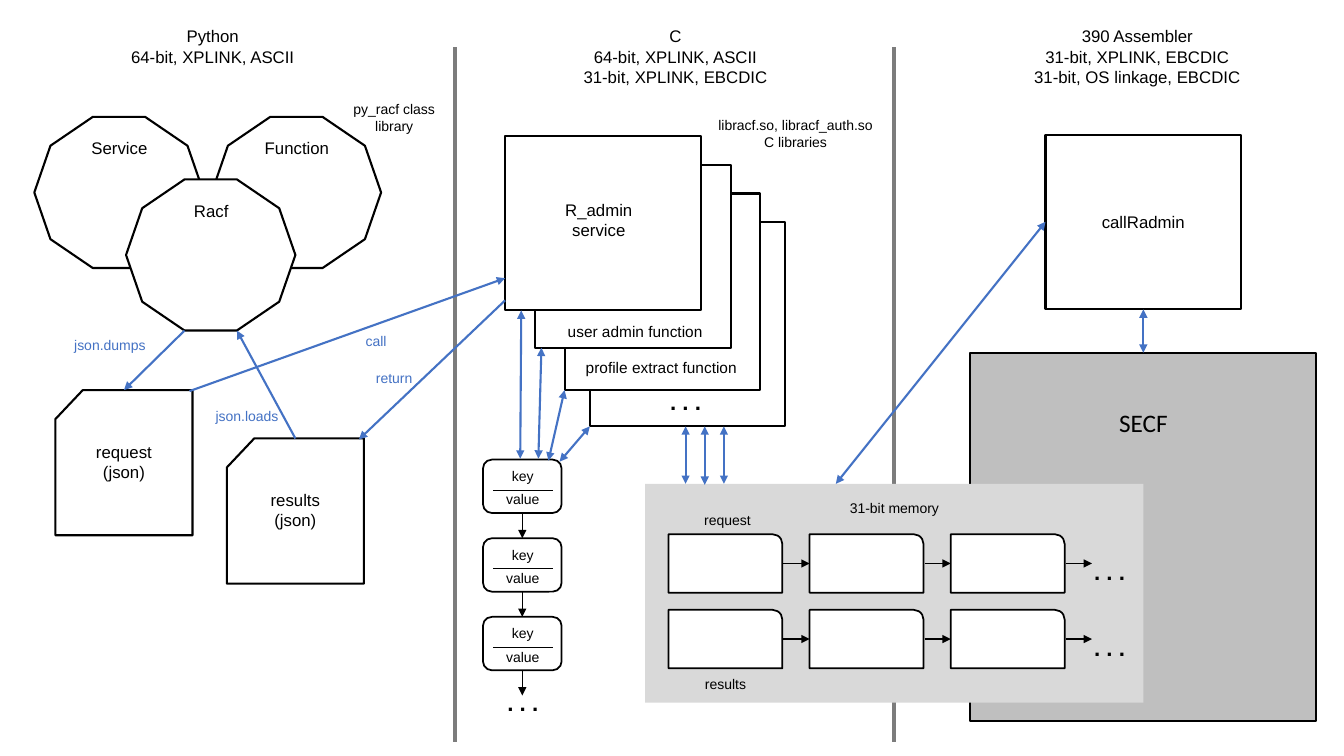
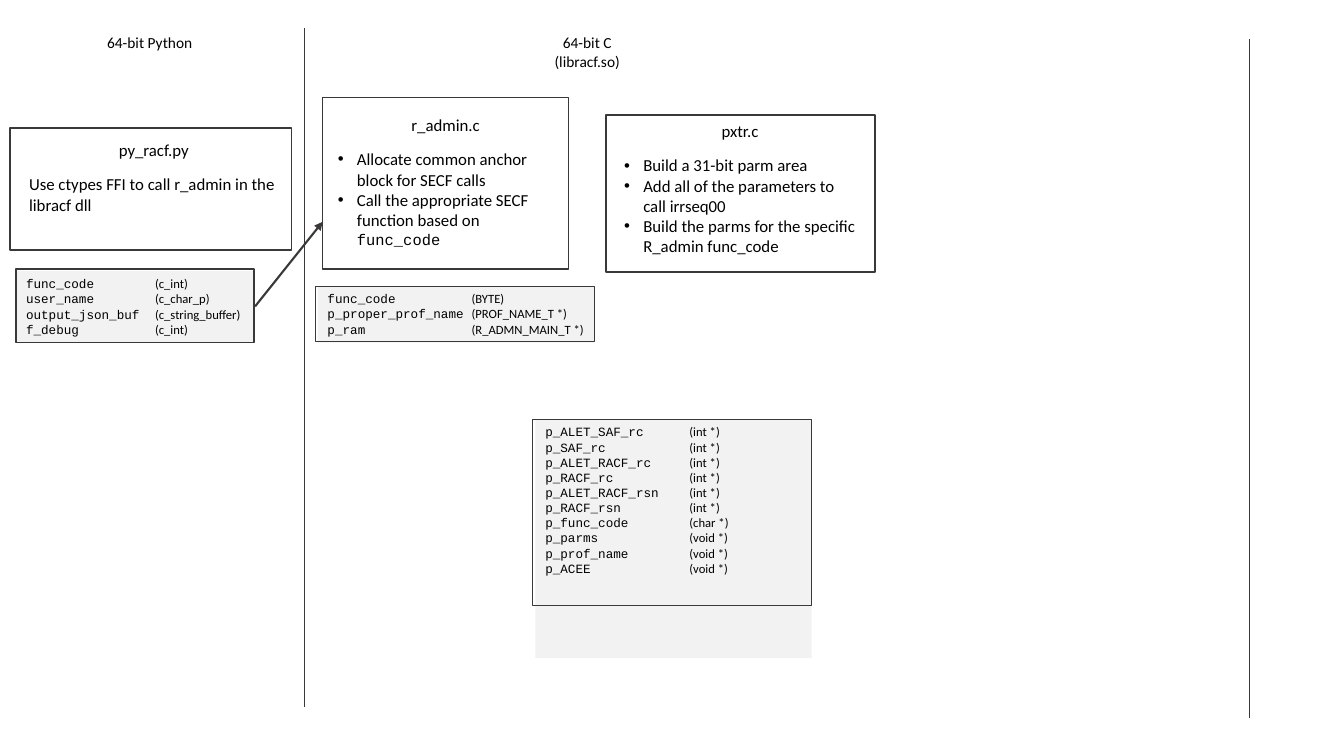
from lxml import etree
from pptx import Presentation
from pptx.dml.color import RGBColor
from pptx.enum.shapes import MSO_CONNECTOR, MSO_SHAPE
from pptx.enum.text import MSO_ANCHOR, MSO_AUTO_SIZE, PP_ALIGN
from pptx.oxml.ns import qn
from pptx.util import Cm, Pt

RECT, ROUND = MSO_SHAPE.RECTANGLE, MSO_SHAPE.ROUNDED_RECTANGLE
DECAGON, CARD = MSO_SHAPE.DECAGON, MSO_SHAPE.FLOWCHART_CARD
CELL = MSO_SHAPE.ROUND_1_RECTANGLE
STRAIGHT = MSO_CONNECTOR.STRAIGHT
CENTER, LEFT, TOP = PP_ALIGN.CENTER, PP_ALIGN.LEFT, MSO_ANCHOR.TOP
NO_FIT = MSO_AUTO_SIZE.NONE
TITLE_ONLY, TWO_CONTENT = 5, 3

# Shared colours and text styles
BLACK, WHITE, BLUE, DARK = "000000", "FFFFFF", "4472C4", "3B3838"
DIVIDER, SYSTEM, MEMORY, PALE = "7C7C7C", "BFBFBF", "D9D9D9", "F2F2F2"


def style(name, size, color=BLACK, bold=False):
    return {"name": name, "size": Pt(size), "bold": bold, "color": color}


NORMAL, MEDIUM, SMALL = (style("Arial", n) for n in (12, 11, 10))
NOTE, DOTS = style("Arial", 10, BLUE), style("Arial", 16, bold=True)
SYSTEM_NAME, HEADING, BODY = (style("Calibri", n) for n in (18, 11, 12))
TYPE, FIELD, CODE = style("Calibri", 9), style("Courier New", 9), style("Courier New", 11)
ELLIPSIS = ". . ."

# Slide 1 content; positions are in inches
COLUMNS = [
    ((0.87, 0.21, 2.48, 0.5), ["Python", "64-bit, XPLINK, ASCII"]),
    ((5.46, 0.21, 2.48, 0.71), ["C", "64-bit, XPLINK, ASCII", "31-bit, XPLINK, EBCDIC"]),
    ((10.04, 0.21, 2.48, 0.71),
     ["390 Assembler", "31-bit, XPLINK, EBCDIC", "31-bit, OS linkage, EBCDIC"]),
]
CLASSES = [(0.34, 1.16, "Service"), (2.1, 1.16, "Function"), (1.25, 1.78, "Racf")]
JSON_CARDS = [(0.55, 3.87, "request"), (2.25, 4.35, "results")]
FUNCTIONS = [
    ((5.85, 2.2, 1.94, 2.03), (5.92, 3.8, 1.76, 0.37), [ELLIPSIS], DOTS),
    ((5.6, 1.92, 1.94, 1.95), (5.68, 3.5, 1.76, 0.29), ["profile extract function"], MEDIUM),
    ((5.31, 1.64, 1.94, 1.81), (5.42, 3.15, 1.76, 0.29), ["user admin function"], MEDIUM),
    ((5.01, 1.35, 1.94, 1.73), (5.31, 1.93, 1.26, 0.5), ["R_admin", "service"], NORMAL),
]
LABELS = [
    ((3.28, 0.95, 1.26, 0.44), ["py_racf class", "library"], SMALL),
    ((6.99, 1.11, 1.8, 0.44), ["libracf.so, libracf_auth.so", "C libraries"], SMALL),
    ((0.46, 3.29, 1.26, 0.27), ["json.dumps"], NOTE),
    ((1.82, 3.99, 1.26, 0.27), ["json.loads"], NOTE),
    ((3.1, 3.25, 1.26, 0.27), ["call"], NOTE),
    ((3.28, 3.62, 1.26, 0.27), ["return"], NOTE),
    ((10.34, 3.99, 2, 0.4), ["SECF"], SYSTEM_NAME),
    ((7.97, 4.91, 1.8, 0.27), ["31-bit memory"], SMALL),
    ((6.76, 5.03, 0.91, 0.27), ["request"], SMALL),
    ((6.74, 6.65, 0.91, 0.27), ["results"], SMALL),
]
CALLS = [
    ((1.83, 3.28), (1.23, 3.87)), ((2.93, 4.35), (2.35, 3.28)),
    ((1.88, 3.88), (5.01, 2.76)), ((5.01, 2.98), (3.56, 4.36)),
]
EXCHANGES = [
    ((5.17, 3.08), (5.16, 4.55)), ((5.37, 3.45), (5.34, 4.55)),
    ((5.6, 3.87), (5.44, 4.57)), ((5.85, 4.23), (5.55, 4.58)),
    ((6.8, 4.23), (6.8, 4.8)), ((6.99, 4.23), (6.99, 4.81)), ((7.18, 4.23), (7.18, 4.8)),
    ((10.37, 2.2), (8.29, 4.8)), ((11.34, 3.07), (11.34, 3.5)),
]

# Slide 2 content
MODULE_LISTS = [
    ((3.2, 0.97, 2.44, 1.7), (3.25, 1.09, 2.34, 1.43), "r_admin.c", [
        [("Allocate common anchor block for SECF calls", BODY)],
        [("Call the appropriate SECF function based on ", BODY), ("func_code", CODE)],
    ]),
    ((6.01, 1.14, 2.67, 1.56), (6.09, 1.15, 2.5, 1.45), "pxtr.c", [
        [("Build a 31-bit parm area", BODY)],
        [("Add all of the parameters to call irrseq00", BODY)],
        [("Build the parms for the specific R_admin func_code", BODY)],
    ]),
]
# Panel, frame, tab position, (field, type) rows
PARAMETERS = [
    ((0.16, 2.69, 2.36, 0.71), (0.16, 2.67, 2.36, 0.73), 1.28, [
        ("func_code", "(c_int)"), ("user_name", "(c_char_p)"),
        ("output_json_buf", "(c_string_buffer)"), ("f_debug", "(c_int)"),
    ]),
    ((3.15, 2.84, 2.74, 0.56), (3.13, 2.84, 2.77, 0.55), 1.43, [
        ("func_code", "(BYTE)"), ("p_proper_prof_name", "(PROF_NAME_T *)"),
        ("p_ram", "(R_ADMN_MAIN_T *)"),
    ]),
    ((5.31, 4.16, 2.74, 2.37), (5.28, 4.16, 2.77, 1.85), 1.43, [
        ("p_ALET_SAF_rc", "(int *)"), ("p_SAF_rc", "(int *)"),
        ("p_ALET_RACF_rc", "(int *)"), ("p_RACF_rc", "(int *)"),
        ("p_ALET_RACF_rsn", "(int *)"), ("p_RACF_rsn", "(int *)"),
        ("p_func_code", "(char *)"), ("p_parms", "(void *)"),
        ("p_prof_name", "(void *)"), ("p_ACEE", "(void *)"),
    ]),
]


# Helpers
def length(inches):
    return Cm(inches * 2.54)


def rgb(color):
    return RGBColor.from_string(color)


def paragraph(tf, runs, align=CENTER, after=0):
    p = tf.paragraphs[0]
    if p.runs:
        p = tf.add_paragraph()
    for key, value in {"alignment": align, "space_before": Pt(0),
                       "space_after": Pt(after)}.items():
        setattr(p, key, value)
    for text, fmt in runs:
        r = p.add_run()
        r.text = text
        for key, value in fmt.items():
            if key == "color":
                r.font.color.rgb = rgb(value)
            else:
                setattr(r.font, key, value)
    return p


def write(tf, lines, fmt):
    for text in lines:
        paragraph(tf, [(text, fmt)])


def label(s, box, lines, fmt):
    tf = s.shapes.add_textbox(*map(length, box)).text_frame
    tf.word_wrap = True
    write(tf, lines, fmt)
    return tf


def place(sp, box):
    """Move a placeholder and return its text frame, set from the top."""
    sp.left, sp.top, sp.width, sp.height = map(length, box)
    tf = sp.text_frame
    for key, value in {"word_wrap": True, "auto_size": NO_FIT, "vertical_anchor": TOP}.items():
        setattr(tf, key, value)
    return tf


def shape(s, kind, box, fill=WHITE, outline=BLACK, width=1.5):
    sp = s.shapes.add_shape(kind, *map(length, box))
    sp.shadow.inherit = False
    for part, color in ((sp.fill, fill), (sp.line.fill, outline)):
        if color:
            part.solid()
            part.fore_color.rgb = rgb(color)
        else:
            part.background()
    if outline:
        sp.line.width = Pt(width)
    return sp


def line(s, start, end, color, width, ends=()):
    c = s.shapes.add_connector(STRAIGHT, *map(length, (*start, *end)))
    c.line.color.rgb = rgb(color)
    c.line.width = Pt(width)
    spPr = c._element.spPr
    for name in ends:
        etree.SubElement(spPr.find(qn("a:ln")), qn(f"a:{name}"), type="triangle")
    etree.SubElement(spPr, qn("a:effectLst"))


def arrow(s, start, end, color=BLACK, width=1):
    line(s, start, end, color, width, ["tailEnd"])


def frame(s, box):
    shape(s, RECT, box, None, DARK, 1)


# Slides
def architecture(prs):
    s = prs.slides.add_slide(prs.slide_layouts[TITLE_ONLY])
    shape(s, RECT, (9.62, 3.5, 3.43, 3.65), SYSTEM)
    for x in (4.51, 8.87):
        line(s, (x, 0.47), (x, 7.36), DIVIDER, 2.75)

    # Column headings, the middle one being the title
    python, c_code, assembler = COLUMNS
    write(place(s.shapes.title, c_code[0]), c_code[1], NORMAL)
    for box, lines in (python, assembler):
        label(s, box, lines, NORMAL)

    # Python classes and their JSON documents
    for x, y, name in CLASSES:
        shape(s, DECAGON, (x, y, 1.68, 1.5))
        label(s, (x + 0.42, y + 0.16, 0.85, 0.3), [name], NORMAL)
    for x, y, name in JSON_CARDS:
        shape(s, CARD, (x, y, 1.36, 1.44))
        label(s, (x + 0.05, y + 0.46, 1.26, 0.5), [name, "(json)"], NORMAL)

    # Stack of C functions
    for box, label_box, lines, fmt in FUNCTIONS:
        shape(s, RECT, box)
        label(s, label_box, lines, fmt)

    # Chain of key and value pairs
    pitch, height, middle = 0.78, 0.53, 5.18
    for i in range(3):
        y = 4.56 + i * pitch
        shape(s, ROUND, (4.79, y, 0.78, height), width=1.25)
        for word, offset in (("key", 0.03), ("value", 0.26)):
            label(s, (4.78, y + offset, 0.81, 0.27), [word], SMALL)
        line(s, (4.89, y + 0.3), (5.48, y + 0.3), BLACK, 0.5)
        arrow(s, (middle, y + height), (middle, y + pitch))
    label(s, (4.74, 6.79, 0.89, 0.37), [ELLIPSIS], DOTS)

    # Shared memory with request and results chains
    shape(s, RECT, (6.4, 4.8, 4.94, 2.17), MEMORY, None)
    for y in (5.3, 6.05):
        for i in range(3):
            x = 6.63 + i * 1.4
            shape(s, CELL, (x, y, 1.13, 0.58), width=1.25)
            arrow(s, (x + 1.14, y + 0.29), (x + 1.4, y + 0.29))
        label(s, (10.56, y + 0.19, 0.89, 0.37), [ELLIPSIS], DOTS)

    # Assembler routine
    sp = shape(s, RECT, (10.37, 1.34, 1.94, 1.73))
    write(sp.text_frame, ["callRadmin"], NORMAL)

    # Labels and flows
    for box, lines, fmt in LABELS:
        label(s, box, lines, fmt)
    for start, end in CALLS:
        arrow(s, start, end, BLUE, 1.5)
    for start, end in EXCHANGES:
        line(s, start, end, BLUE, 1.5, ["headEnd", "tailEnd"])


def modules(prs):
    s = prs.slides.add_slide(prs.slide_layouts[TWO_CONTENT])
    line(s, (3.02, 0.28), (3.02, 7.01), DARK, 1)
    line(s, (12.39, 0.39), (12.39, 7.12), DARK, 1)
    title = place(s.shapes.title, (5.08, 0.28, 1.49, 0.47))
    write(title, ["64-bit C", "(libracf.so)"], HEADING)
    label(s, (0.74, 0.28, 1.49, 0.29), ["64-bit Python"], HEADING)

    # Python module
    frame(s, (0.1, 1.27, 2.79, 1.21))
    tf = label(s, (0.19, 1.34, 2.67, 0.84), ["py_racf.py"], BODY)
    tf.paragraphs[0].space_after = Pt(10)
    paragraph(tf, [("Use ctypes FFI to call r_admin in the libracf dll", BODY)], LEFT)

    # C modules with their tasks
    for idx, (frame_box, box, name, tasks) in enumerate(MODULE_LISTS, 1):
        frame(s, frame_box)
        tf = place(s.placeholders[idx], box)
        pPr = paragraph(tf, [(name, BODY)], after=10)._p.get_or_add_pPr()
        pPr.set("marL", "0")
        pPr.set("indent", "0")
        etree.SubElement(pPr, qn("a:buNone"))
        for runs in tasks:
            pPr = paragraph(tf, runs, LEFT)._p.get_or_add_pPr()
            pPr.set("marL", str(length(0.19)))
            pPr.set("indent", str(-length(0.19)))
            etree.SubElement(pPr, qn("a:buFont"), typeface="Arial")
            etree.SubElement(pPr, qn("a:buChar"), char="•")

    # Parameter blocks
    for box, frame_box, tab, rows in PARAMETERS:
        sp = shape(s, RECT, box, PALE, None)
        tf = sp.text_frame
        tf.vertical_anchor = TOP
        for field, kind in rows:
            p = paragraph(tf, [(field + "\t", FIELD), (kind, TYPE)], LEFT)
            tabs = etree.SubElement(p._p.get_or_add_pPr(), qn("a:tabLst"))
            etree.SubElement(tabs, qn("a:tab"), pos=str(length(tab)), algn="l")
        frame(s, frame_box)
    arrow(s, (2.53, 3.04), (3.2, 2.2), DARK, 1.5)


def main():
    prs = Presentation()
    prs.slide_width, prs.slide_height = length(13.33), length(7.5)
    architecture(prs)
    modules(prs)
    prs.save("out.pptx")


if __name__ == "__main__":
    main()
